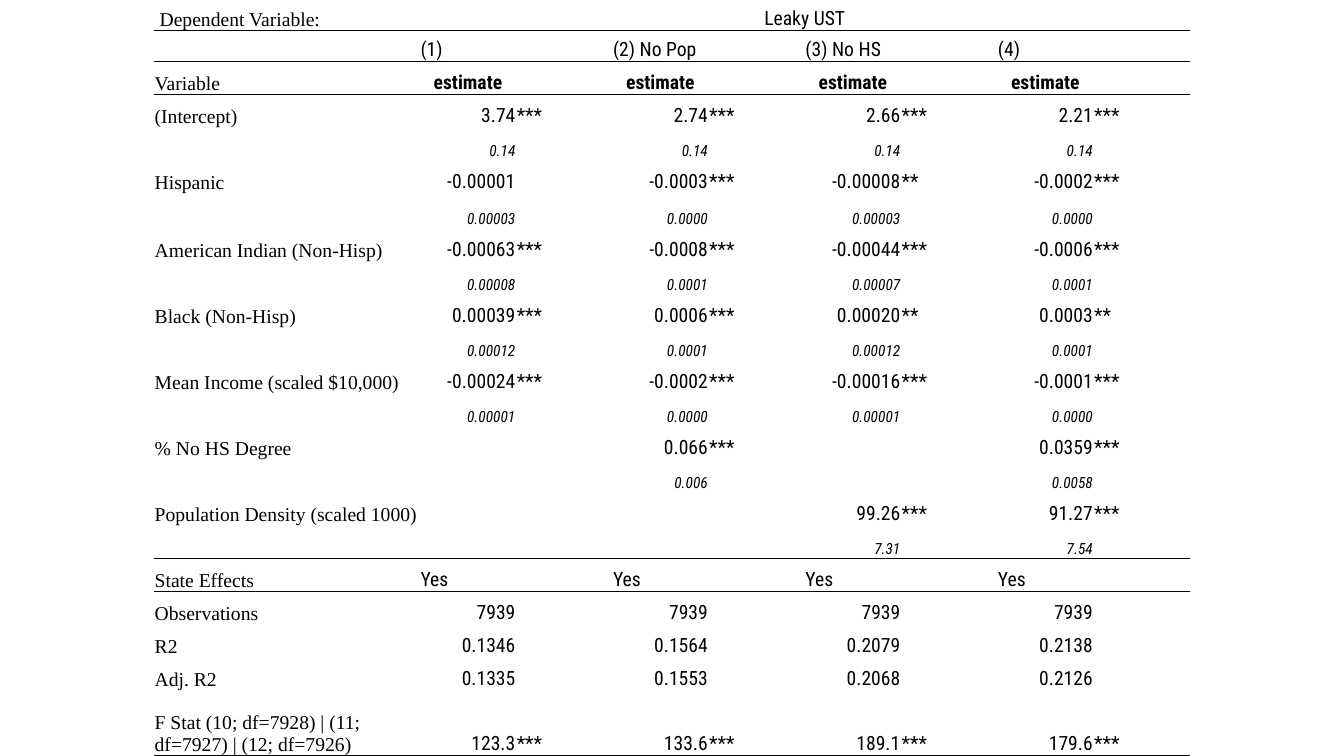
from pptx import Presentation
from pptx.dml.color import RGBColor
from pptx.enum.text import MSO_ANCHOR, PP_ALIGN as AL
from pptx.oxml import parse_xml
from pptx.oxml.ns import nsdecls, qn
from pptx.util import Pt
from lxml.etree import SubElement

BLACK = "000000"
NO_GRID = "{2D5ABB26-0587-4C30-8999-92F81FD0307C}"

# Text formats
LABEL = dict(name="Times New Roman", size=Pt(14), bold=False, italic=False)
VALUE = dict(LABEL, name="Roboto Condensed")
HEAD = dict(VALUE, bold=True)
ERROR = dict(VALUE, size=Pt(11), italic=True)
CELL = dict(margin_left=Pt(0.5), margin_right=Pt(0.5), margin_top=Pt(0.5),
            margin_bottom=0, vertical_anchor=MSO_ANCHOR.BOTTOM)

# Row kinds: format and alignment of the four model columns
KINDS = {
    "title": (VALUE, AL.CENTER),
    "text": (VALUE, AL.LEFT),
    "head": (HEAD, AL.CENTER),
    "value": (VALUE, AL.RIGHT),
    "error": (ERROR, AL.RIGHT),
}

# Kind, row label, one entry per model; stars go to the column beside
ROWS = [
    ("title", " Dependent Variable:", ["Leaky UST"]),
    ("text", "", ["(1)", "(2) No Pop", "(3) No HS", "(4)"]),
    ("head", "Variable", ["estimate"] * 4),
    ("value", "(Intercept)", ["3.74***", "2.74***", "2.66***", "2.21***"]),
    ("error", "", ["0.14"] * 4),
    ("value", "Hispanic", ["-0.00001", "-0.0003***", "-0.00008**", "-0.0002***"]),
    ("error", "", ["0.00003", "0.0000", "0.00003", "0.0000"]),
    ("value", "American Indian (Non-Hisp)",
     ["-0.00063***", "-0.0008***", "-0.00044***", "-0.0006***"]),
    ("error", "", ["0.00008", "0.0001", "0.00007", "0.0001"]),
    ("value", "Black (Non-Hisp)",
     ["0.00039***", "0.0006***", "0.00020**", "0.0003**"]),
    ("error", "", ["0.00012", "0.0001", "0.00012", "0.0001"]),
    ("value", "Mean Income (scaled $10,000)",
     ["-0.00024***", "-0.0002***", "-0.00016***", "-0.0001***"]),
    ("error", "", ["0.00001", "0.0000", "0.00001", "0.0000"]),
    ("value", "% No HS Degree", ["", "0.066***", "", "0.0359***"]),
    ("error", "", ["", "0.006", "", "0.0058"]),
    ("value", "Population Density (scaled 1000)", ["", "", "99.26***", "91.27***"]),
    ("error", "", ["", "", "7.31", "7.54"]),
    ("text", "State Effects", ["Yes"] * 4),
    ("value", "Observations", ["7939"] * 4),
    ("value", "R2", ["0.1346", "0.1564", "0.2079", "0.2138"]),
    ("value", "Adj. R2", ["0.1335", "0.1553", "0.2068", "0.2126"]),
    ("value", "F Stat (10; df=7928) | (11; df=7927) | (12; df=7926)",
     ["123.3***", "133.6***", "189.1***", "179.6***"]),
]
RULED = {0, 1, 2, 16, 17, 21}  # rows with a line below
ROW_H, ODD_ROW_H = 23.57, {1: 22.2, 6: 25.2, 21: 46.8}
LABEL_W, COL_W, COLS = 189.9, 68.76, 9


def color(hex_str):
    return RGBColor.from_string(hex_str)


def set_all(obj, values):
    for key, value in values.items():
        setattr(obj, key, value)


def write(cell, text, fmt, align):
    p = cell.text_frame.paragraphs[0]
    p.alignment = align
    r = p.add_run()
    r.text = text
    set_all(r.font, fmt)
    r.font.color.rgb = color(BLACK)


def border(cell, side, width):
    """Draw one side of a cell, or clear it when width is 0."""
    fill = (f'<a:solidFill><a:srgbClr val="{BLACK}"/></a:solidFill>'
            if width else "<a:noFill/>")
    ln = parse_xml(
        f'<a:{side} {nsdecls("a")} w="{Pt(width)}">{fill}</a:{side}>')
    cell._tc.get_or_add_tcPr().insert(0, ln)


def line_width(row, col):
    """Width of the line below a row, 0 for none."""
    if row not in RULED:
        return 0
    return 1 if col == COLS - 1 or (row == 0 and col > 0) else 0.5


def fill_row(tbl, i, kind, label, entries):
    fmt, align = KINDS[kind]
    if label:
        write(tbl.cell(i, 0), label, LABEL, AL.LEFT)
    for k, entry in enumerate(entries):
        number = entry.rstrip("*")
        stars = entry[len(number):]
        col = 1 + 2 * k
        if number:
            write(tbl.cell(i, col), number, fmt, align)
        if stars:
            write(tbl.cell(i, col + 1), stars, VALUE, AL.LEFT)


def finish_cell(cell, row, col):
    set_all(cell, CELL)
    cell.fill.background()
    p = cell.text_frame.paragraphs[0]
    if not p.runs:  # keeps empty cells from stretching the row
        SubElement(p._p, qn("a:endParaRPr"), sz="1100")
    # Inserted at the front, so the last side comes first
    border(cell, "lnB", line_width(row, col))
    border(cell, "lnT", line_width(row - 1, col))
    border(cell, "lnR", 0)
    border(cell, "lnL", 0)


def add_regression_table(s):
    heights = [ODD_ROW_H.get(i, ROW_H) for i in range(len(ROWS))]
    tbl = s.shapes.add_table(len(ROWS), COLS, Pt(110), Pt(-1.9),
                             Pt(LABEL_W + 8 * COL_W), Pt(sum(heights))).table
    set_all(tbl, dict(first_row=False, horz_banding=False))
    tbl._tbl.tblPr.find(qn("a:tableStyleId")).text = NO_GRID
    for j, col in enumerate(tbl.columns):
        col.width = Pt(COL_W if j else LABEL_W)
    for row, height in zip(tbl.rows, heights):
        row.height = Pt(height)

    # Merged headings
    tbl.cell(0, 1).merge(tbl.cell(0, 8))
    tbl.cell(1, 3).merge(tbl.cell(1, 4))

    for i, (kind, label, entries) in enumerate(ROWS):
        fill_row(tbl, i, kind, label, entries)
        for j in range(COLS):
            finish_cell(tbl.cell(i, j), i, j)


def main():
    prs = Presentation()
    prs.slide_width, prs.slide_height = Pt(960), Pt(540)
    s = prs.slides.add_slide(prs.slide_layouts[6])
    add_regression_table(s)
    prs.save("out.pptx")


if __name__ == "__main__":
    main()
